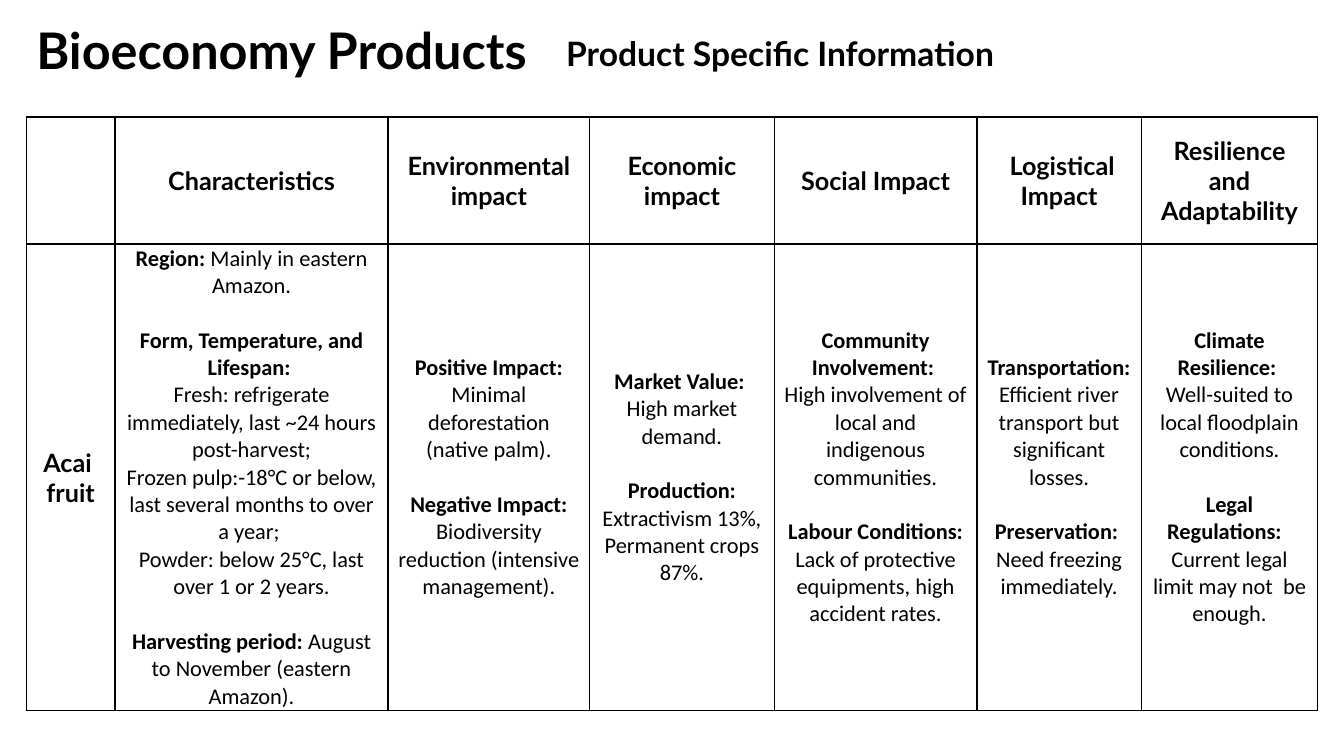
from lxml.etree import SubElement
from pptx import Presentation
from pptx.dml.color import RGBColor
from pptx.enum.text import MSO_ANCHOR, MSO_AUTO_SIZE, PP_ALIGN
from pptx.oxml import parse_xml
from pptx.oxml.ns import nsdecls, qn
from pptx.util import Cm, Pt

BLACK, WHITE = "000000", "FFFFFF"


def add_run(p, text, size=18, font="Lato", bold=True, color=BLACK):
    r = p.add_run()
    r.text = text
    r.font.size = Pt(size)
    r.font.name = font
    r.font.bold = bold
    r.font.color.rgb = RGBColor.from_string(color)


def format_cell(cell, fill=WHITE, line=BLACK):
    """Fill the cell, draw its four borders and set margins and anchor."""
    cell.fill.solid()
    cell.fill.fore_color.rgb = RGBColor.from_string(fill)
    cell.vertical_anchor = MSO_ANCHOR.MIDDLE
    cell.margin_left = cell.margin_right = Cm(0.25)
    cell.margin_top = cell.margin_bottom = Cm(0)
    tcPr = cell._tc.get_or_add_tcPr()
    for i, side in enumerate(("lnL", "lnR", "lnT", "lnB")):
        ln = parse_xml(f'<a:{side} {nsdecls("a")} w="{Pt(1)}"/>')
        solid = SubElement(ln, qn("a:solidFill"))
        SubElement(solid, qn("a:srgbClr"), val=line)
        tcPr.insert(i, ln)


prs = Presentation()
prs.slide_width, prs.slide_height = Cm(33.87), Cm(19.05)
s = prs.slides.add_slide(prs.slide_layouts[5])

# Headings
title = s.shapes.title
title.left, title.top, title.width, title.height = Cm(0.66), Cm(0.71), Cm(28.4), Cm(1.27)
tf = title.text_frame
tf.auto_size = MSO_AUTO_SIZE.NONE
tf.vertical_anchor = MSO_ANCHOR.MIDDLE
p = tf.paragraphs[0]
p.alignment = PP_ALIGN.LEFT
p.line_spacing = 0.9
add_run(p, "Bioeconomy Products", size=36)

subtitle = s.shapes.add_textbox(Cm(14.02), Cm(0.71), Cm(12.32), Cm(1.27))
tf = subtitle.text_frame
tf.word_wrap = True
add_run(tf.paragraphs[0], "Product Specific Information", size=24)

# Each column: width in cm, header, paragraphs as (bold part, plain part)
columns = [
    (2.24, "", []),
    (6.88, "Characteristics", [
        ("Region:", " Mainly in eastern Amazon."),
        ("Form, Temperature, and Lifespan: ", ""),
        ("", "Fresh: refrigerate immediately, last ~24 hours post-harvest;"),
        ("", "Frozen pulp:-18°C or below, last several months to over a year; "),
        ("", "Powder: below 25°C, last over 1 or 2 years."),
        ("Harvesting period:", " August to November (eastern Amazon)."),
    ]),
    (5.08, "Environmental impact", [
        ("Positive Impact:", ""),
        ("", "Minimal deforestation (native palm)."),
        ("Negative Impact:", ""),
        ("", "Biodiversity reduction (intensive management)."),
    ]),
    (4.65, "Economic impact", [
        ("Market Value: ", ""),
        ("", "High market demand."),
        ("Production: ", "Extractivism 13%, Permanent crops 87%."),
    ]),
    (5.11, "Social Impact", [
        ("Community Involvement: ", ""),
        ("", "High involvement of local and indigenous communities."),
        ("Labour Conditions:", " Lack of protective equipments, high accident rates."),
    ]),
    (4.14, " Logistical Impact", [
        ("Transportation:", " Efficient river transport but significant losses."),
        ("Preservation:", "  Need freezing immediately."),
    ]),
    (4.45, "Resilience and Adaptability", [
        ("Climate Resilience: ", ""),
        ("", "Well-suited to local floodplain conditions."),
        ("Legal Regulations:  ", ""),
        ("", "Current legal limit may not  be enough."),
    ]),
]

# Table
frame = s.shapes.add_table(2, len(columns), Cm(0.66), Cm(2.95), Cm(32.55), Cm(14.96))
table = frame.table
table.first_row = table.horz_banding = False
table.rows[0].height, table.rows[1].height = Cm(3.2), Cm(11.76)

for col, (width, header, paragraphs) in enumerate(columns):
    table.columns[col].width = Cm(width)
    head, body = table.cell(0, col), table.cell(1, col)
    format_cell(head)
    format_cell(body)
    if header:
        p = head.text_frame.paragraphs[0]
        p.alignment = PP_ALIGN.CENTER
        add_run(p, header)
    tf = body.text_frame
    for i, (label, text) in enumerate(paragraphs):
        p = tf.add_paragraph() if i else tf.paragraphs[0]
        p.alignment = PP_ALIGN.CENTER
        if i and label:
            p.space_before = Pt(19.5)
        if label:
            add_run(p, label, size=16, font="Calibri")
        if text:
            add_run(p, text, size=16, font="Calibri", bold=False)

p = table.cell(1, 0).text_frame.paragraphs[0]
p.alignment = PP_ALIGN.CENTER
add_run(p, "Acai  fruit")

prs.save("out.pptx")
